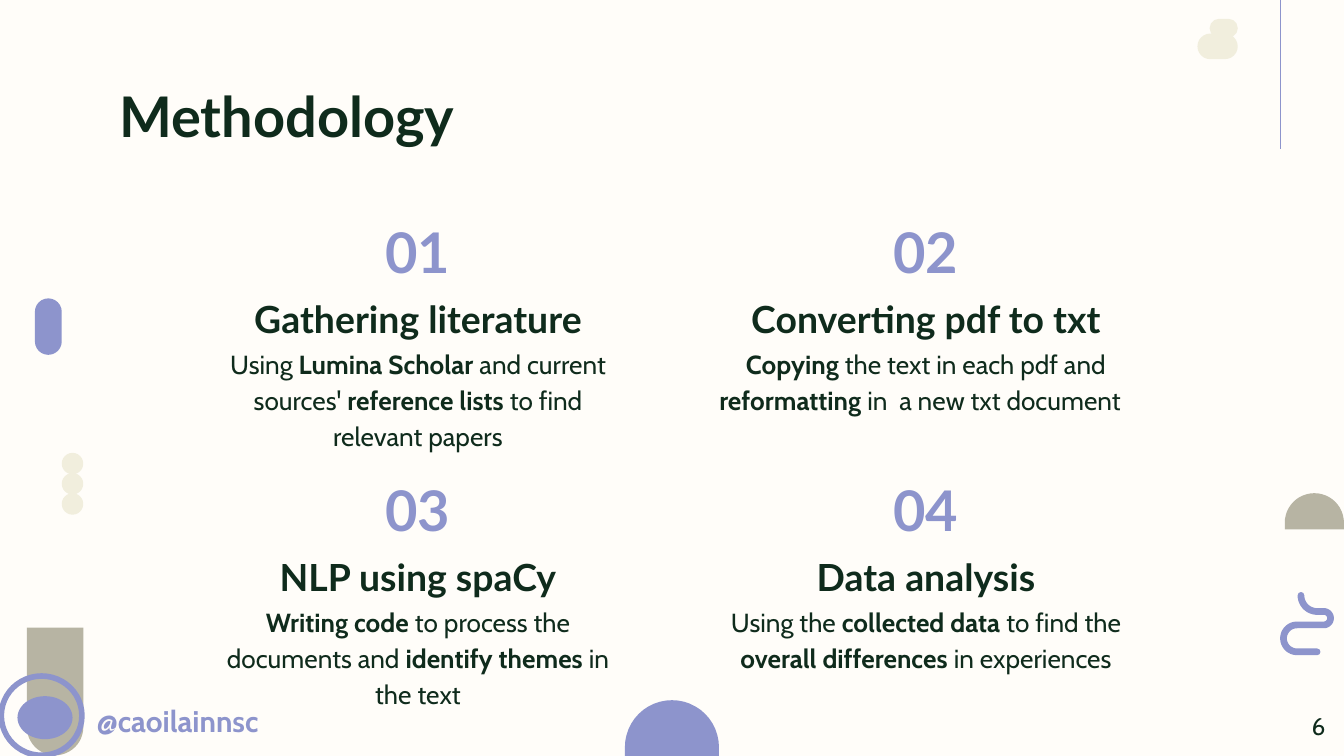
from math import cos, radians, sin

from lxml.etree import SubElement
from pptx import Presentation
from pptx.dml.color import RGBColor
from pptx.enum.shapes import MSO_CONNECTOR, MSO_SHAPE
from pptx.enum.text import MSO_ANCHOR, PP_ALIGN
from pptx.oxml.ns import qn
from pptx.util import Inches, Pt

CREAM = RGBColor(0xFF, 0xFD, 0xF9)
LILAC = RGBColor(0x8D, 0x94, 0xCC)
STONE = RGBColor(0xB7, 0xB4, 0xA3)
SAND = RGBColor(0xF1, 0xEE, 0xDD)
GREEN = RGBColor(0x0F, 0x2B, 0x1C)

STEPS = [
    ("Gathering literature",
     "Using *Lumina Scholar* and current sources' *reference lists* to find relevant papers"),
    ("Converting pdf to txt",
     "*Copying* the text in each pdf and *reformatting* in  a new txt document  "),
    ("NLP using spaCy",
     "*Writing code* to process the documents and *identify themes* in the text"),
    ("Data analysis",
     "Using the *collected data* to find the *overall differences* in experiences"),
]


def add_text(slide, box, text, size, font="Lato", color=GREEN, bold=True,
             align=PP_ALIGN.LEFT, anchor=MSO_ANCHOR.TOP, spacing=1.0):
    frame = slide.shapes.add_textbox(*map(Inches, box)).text_frame
    frame.word_wrap = True
    frame.vertical_anchor = anchor
    frame.margin_left = frame.margin_right = Inches(0.1)
    frame.margin_top = frame.margin_bottom = Inches(0.1)
    para = frame.paragraphs[0]
    para.alignment = align
    para.line_spacing = spacing
    para.font.size = Pt(size)
    para.font.name = font
    para.font.color.rgb = color
    para.font.bold = bold
    for index, part in enumerate(text.split("*")):
        if part:
            run = para.add_run()
            run.text = part
            if index % 2:
                run.font.bold = True


def paint(shape, color):
    shape.shadow.inherit = False
    shape.fill.solid()
    shape.fill.fore_color.rgb = color
    shape.line.fill.background()


def outline(shape, color, width):
    shape.shadow.inherit = False
    shape.fill.background()
    shape.line.color.rgb = color
    shape.line.width = Pt(width)


def add_preset(slide, kind, box, color, *adjust):
    shape = slide.shapes.add_shape(kind, *map(Inches, box))
    for index, value in enumerate(adjust):
        shape.adjustments[index] = value
    paint(shape, color)


def arc(x, y, radius, start, end, steps=24):
    angles = [radians(start + (end - start) * i / steps) for i in range(steps + 1)]
    return [(x + radius * cos(a), y + radius * sin(a)) for a in angles]


def add_path(slide, points, close):
    points = [(Inches(x), Inches(y)) for x, y in points]
    builder = slide.shapes.build_freeform(*points[0])
    builder.add_line_segments(points[1:], close=close)
    return builder.convert_to_shape()


def add_dome(slide, x, y, width, height, color):
    radius = width / 2
    curve = arc(x + radius, y + radius, radius, 180, 360)
    base = [(x + width, y + height), (x, y + height)]
    paint(add_path(slide, curve + base, True), color)


def add_curl(slide):
    points = arc(9.8, 4.43, 0.12, 180, 90)
    points += arc(9.85, 4.6, 0.05, -90, 90)
    points += arc(9.65, 4.75, 0.1, 270, 90)
    points.append((9.8, 4.85))
    shape = add_path(slide, points, False)
    outline(shape, LILAC, 3.6)
    shape.element.spPr.find(qn("a:ln")).set("cap", "rnd")


def add_rule(slide):
    rule = slide.shapes.add_connector(
        MSO_CONNECTOR.STRAIGHT, Inches(9.53), 0, Inches(9.53), Inches(1.11))
    rule.line.color.rgb = LILAC
    rule.line.width = Pt(0.6)
    SubElement(rule.element.spPr, qn("a:effectLst"))


def add_decor(slide):
    pill = MSO_SHAPE.ROUNDED_RECTANGLE
    add_preset(slide, pill, (0.26, 2.22, 0.2, 0.42), LILAC, 0.5)
    add_curl(slide)
    add_dome(slide, 9.56, 3.67, 0.44, 0.27, STONE)
    add_preset(slide, MSO_SHAPE.ROUND_2_SAME_RECTANGLE,
               (0.2, 4.67, 0.42, 0.95), STONE, 0, 0.5)
    add_dome(slide, 4.65, 5.21, 0.7, 0.42, LILAC)
    add_rule(slide)
    add_preset(slide, pill, (9, 0.14, 0.21, 0.14), SAND, 0.5)
    add_preset(slide, pill, (8.91, 0.25, 0.3, 0.19), SAND, 0.5)
    for row in range(3):
        add_preset(slide, MSO_SHAPE.OVAL,
                   (0.46, 3.37 + 0.15 * row, 0.16, 0.16), SAND)


def add_step(slide, index, head, body):
    left = 1.47 + 3.78 * (index % 2)
    top = 1.56 + 1.92 * (index // 2)
    center = PP_ALIGN.CENTER
    bottom = MSO_ANCHOR.BOTTOM
    add_text(slide, (left + 1.07, top, 1.14, 0.66), f"{index + 1:02}", 30,
             color=LILAC, align=center, anchor=bottom)
    add_text(slide, (left, top + 0.9, 3.28, 0.66), body, 14, "Cabin",
             bold=False, align=center, spacing=1.15)
    add_text(slide, (left, top + 0.47, 3.28, 0.61), head, 20,
             align=center, anchor=bottom, spacing=1.15)


def add_handle(slide):
    ring = slide.shapes.add_shape(
        MSO_SHAPE.OVAL, *map(Inches, (0.01, 5.03, 0.6, 0.59)))
    outline(ring, LILAC, 3)
    add_preset(slide, MSO_SHAPE.OVAL, (0.13, 5.18, 0.41, 0.32), LILAC)
    add_text(slide, (0.62, 5.09, 2.52, 0.47), "@caoilainnsc", 16, "Cabin",
             LILAC, spacing=1.15)


def main():
    deck = Presentation()
    deck.slide_width = Inches(10)
    deck.slide_height = Inches(10) * 9 // 16
    slide = deck.slides.add_slide(deck.slide_layouts[6])
    slide.background.fill.solid()
    slide.background.fill.fore_color.rgb = CREAM
    add_decor(slide)
    add_text(slide, (0.79, 0.51, 8.43, 0.69), "Methodology", 30)
    for index, (head, body) in enumerate(STEPS):
        add_step(slide, index, head, body)
    add_text(slide, (9.36, 5.19, 0.6, 0.43), "6", 13, "Cabin",
             bold=False, align=PP_ALIGN.RIGHT)
    add_handle(slide)
    deck.save("out.pptx")


if __name__ == "__main__":
    main()
